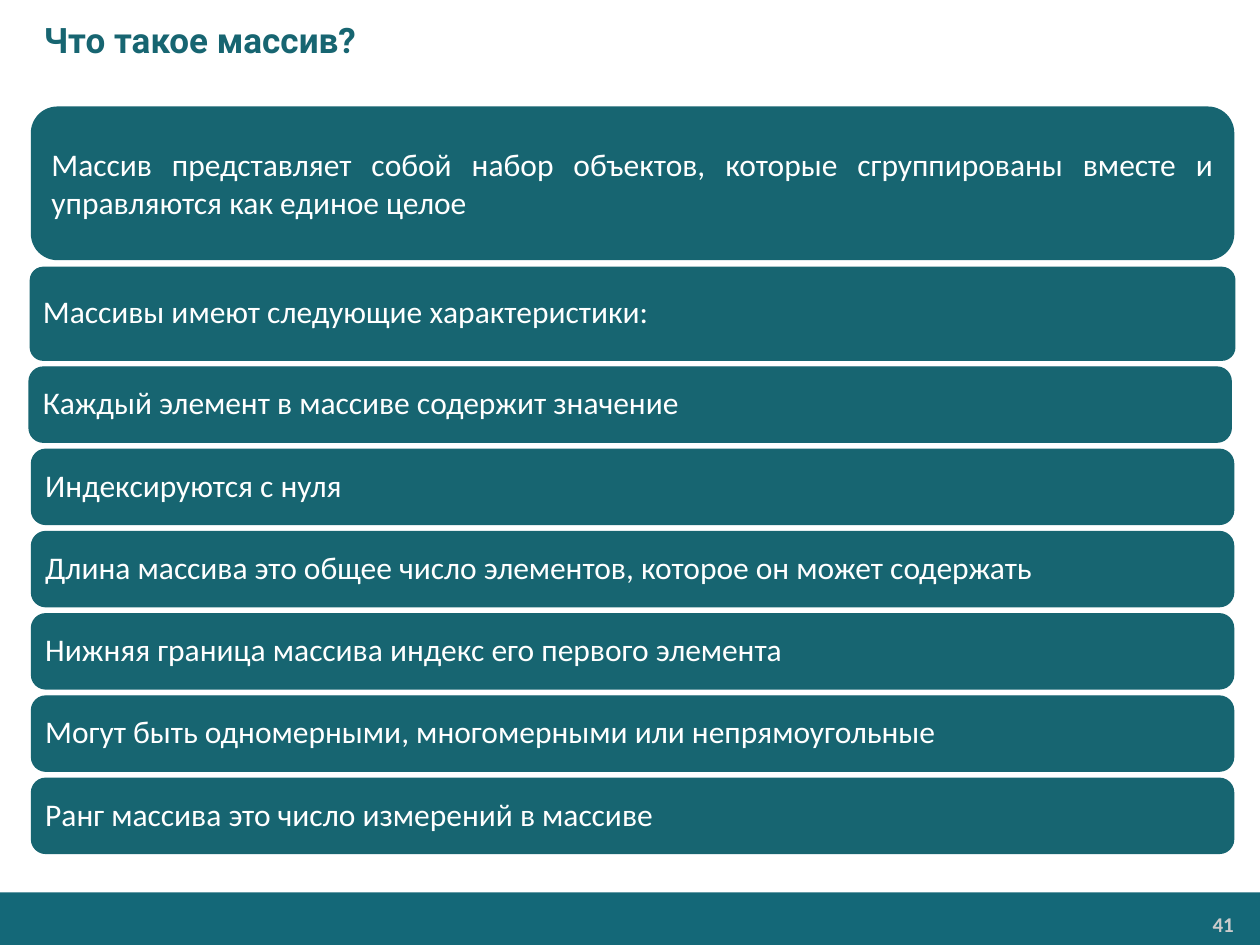
from dataclasses import dataclass

from pptx import Presentation
from pptx.dml.color import RGBColor
from pptx.enum.shapes import MSO_SHAPE
from pptx.enum.text import MSO_ANCHOR, PP_ALIGN
from pptx.shapes.autoshape import Shape
from pptx.slide import Slide
from pptx.util import Pt

COLORS = {"panel": "176571", "footer": "146878", "text": "FFFFFF", "number": "CCCCCC"}
LEFT, WIDTH = 18, 687
ROW_TOP, ROW_HEIGHT, ROW_PITCH = 209.7, 43, 47


@dataclass
class Panel:
    text: str
    top: float
    height: float
    left: float = LEFT
    corner: float = 0.19
    margin: float = 5.5
    line_width: float = 0.75
    line_spacing: float = 0.9
    align: PP_ALIGN = PP_ALIGN.LEFT


def write(shape: Shape, text: str, *, size: float = 18, font: str = "Calibri",
          color: str = "text", bold: bool = False, align: PP_ALIGN = PP_ALIGN.LEFT,
          anchor: MSO_ANCHOR = MSO_ANCHOR.MIDDLE, line_spacing: float = 1.0,
          margin_x: float = 7.2, margin_y: float = 3.6) -> None:
    frame = shape.text_frame
    frame.word_wrap = True
    frame.vertical_anchor = anchor
    frame.margin_left = frame.margin_right = Pt(margin_x)
    frame.margin_top = frame.margin_bottom = Pt(margin_y)
    paragraph = frame.paragraphs[0]
    paragraph.alignment = align
    paragraph.line_spacing = line_spacing
    run = paragraph.add_run()
    run.text = text
    run.font.size = Pt(size)
    run.font.name = font
    run.font.bold = bold
    run.font.color.rgb = RGBColor.from_string(COLORS[color])


def add_block(slide: Slide, kind: MSO_SHAPE, left: float, top: float,
              width: float, height: float, color: str) -> Shape:
    block = slide.shapes.add_shape(kind, Pt(left), Pt(top), Pt(width), Pt(height))
    block.shadow.inherit = False
    block.fill.solid()
    block.fill.fore_color.rgb = RGBColor.from_string(COLORS[color])
    block.line.fill.background()
    return block


def add_panel(slide: Slide, panel: Panel) -> None:
    block = add_block(slide, MSO_SHAPE.ROUNDED_RECTANGLE, panel.left, panel.top,
                      WIDTH, panel.height, "panel")
    block.adjustments[0] = panel.corner
    block.line.color.rgb = RGBColor.from_string(COLORS["panel"])
    block.line.width = Pt(panel.line_width)
    write(block, panel.text, align=panel.align, line_spacing=panel.line_spacing,
          margin_x=panel.margin)


def main() -> None:
    deck = Presentation()
    deck.slide_width, deck.slide_height = Pt(720), Pt(540)
    slide = deck.slides.add_slide(deck.slide_layouts[6])

    # Footer band and page number
    add_block(slide, MSO_SHAPE.RECTANGLE, 0, 510, 720, 30, "footer")
    page_number = slide.shapes.add_textbox(Pt(592.5), Pt(517.7), Pt(117.5), Pt(20))
    write(page_number, "41", size=12, color="number", bold=True, align=PP_ALIGN.RIGHT,
          anchor=MSO_ANCHOR.TOP, margin_x=5, margin_y=3)

    # Title
    title = slide.shapes.add_textbox(Pt(18), Pt(0), Pt(702), Pt(45.4))
    write(title, "Что такое массив?", size=20, font="Roboto", color="panel", bold=True)

    # Definition and list heading
    add_panel(slide, Panel(
        "Массив представляет собой набор объектов, которые сгруппированы вместе "
        "и управляются как единое целое",
        top=61.2, height=87.1, corner=0.17, margin=7.2, line_spacing=1.0,
        align=PP_ALIGN.JUSTIFY))
    add_panel(slide, Panel("Массивы имеют следующие характеристики:", top=153.4,
                           height=51.8, corner=0.13, margin=4.6, line_width=2))

    # Characteristics; the first row sits slightly further left
    characteristics = [
        "Каждый элемент в массиве содержит значение",
        "Индексируются с нуля",
        "Длина массива это общее число элементов, которое он может содержать",
        "Нижняя граница массива индекс его первого элемента",
        "Могут быть одномерными, многомерными или непрямоугольные",
        "Ранг массива это число измерений в массиве",
    ]
    for index, text in enumerate(characteristics):
        add_panel(slide, Panel(text, top=ROW_TOP + index * ROW_PITCH, height=ROW_HEIGHT,
                               left=LEFT if index else LEFT - 1.4))

    deck.save("out.pptx")


if __name__ == "__main__":
    main()
